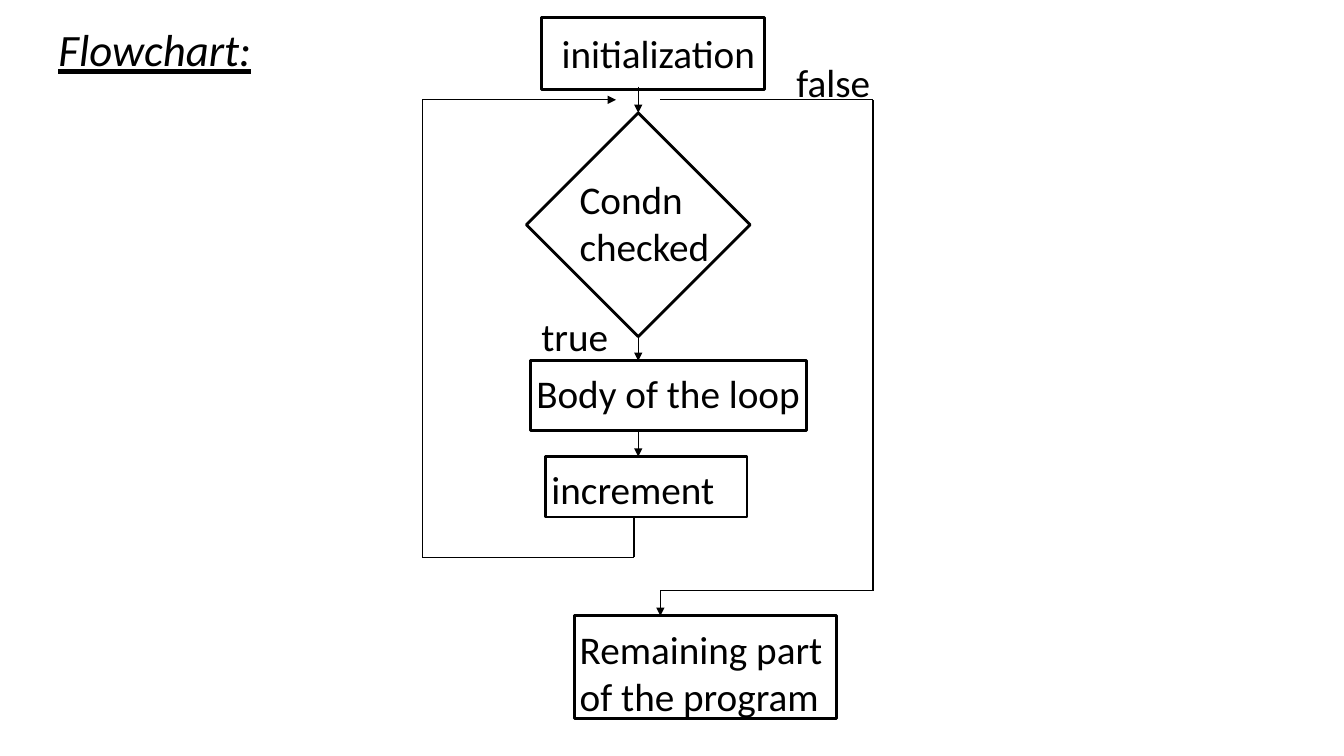
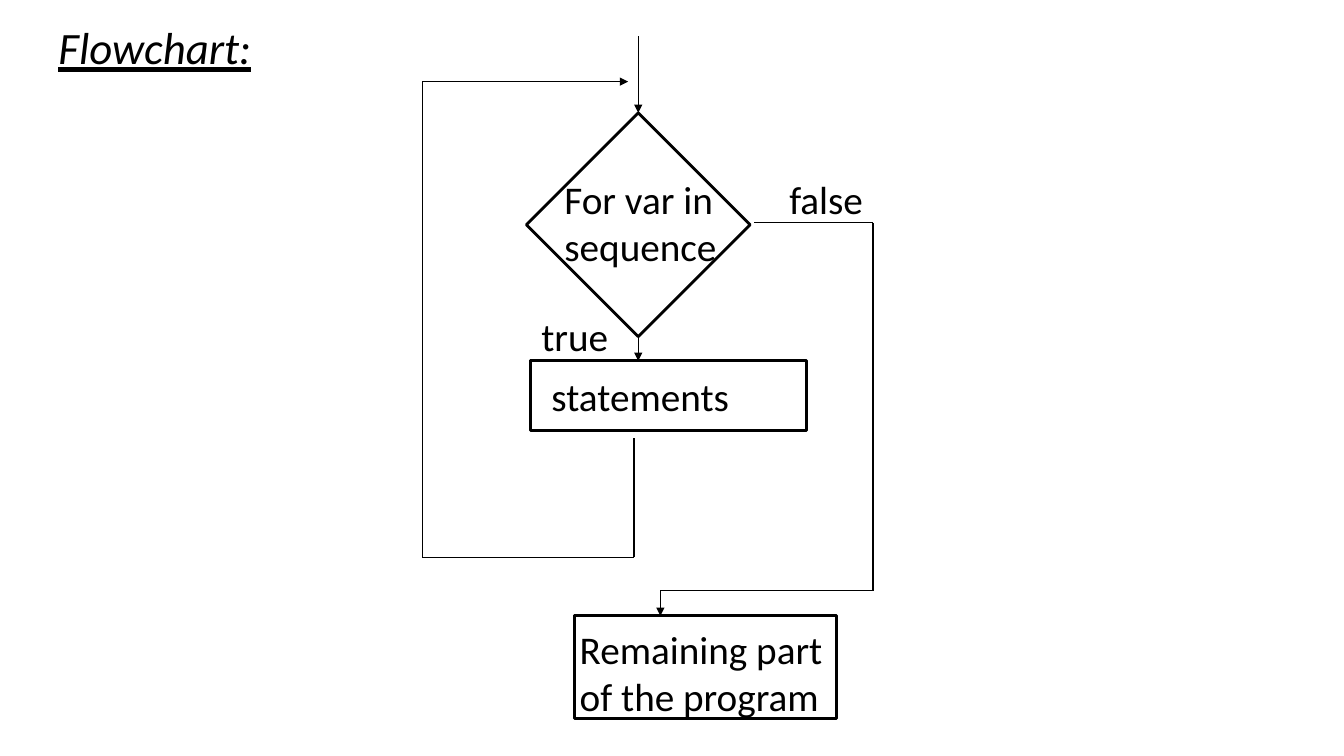
from dataclasses import dataclass

from pptx import Presentation
from pptx import util as u
from pptx.dml.color import RGBColor
from pptx.enum import shapes, text
from pptx.oxml.ns import qn
from lxml import etree


@dataclass(frozen=True)
class Theme:
    ink: RGBColor = RGBColor(0, 0, 0)
    font: str = "Calibri"
    title_size: int = 32
    label_size: int = 28
    box_line: float = 2
    flow_line: float = 1


THEME = Theme()
SLIDE_W, SLIDE_H = 13.33, 7.5
COLS, ROWS = 45, 75
REGION = (4.19, 0, 4.5, 7.5)  # left, top, width, height in inches

# Columns of the chart grid that carry the flow
LOOP, FEED, SPINE, EXIT, BYPASS = 0, 21, 21.4, 23.6, 44.7
# Rows shared by both charts
TEST_TOP, BODY_TOP, LOOP_LOW, BYPASS_LOW, REST_TOP = 11.2, 35.8, 55.3, 58.6, 61.1


def write(tf, words, size, left=0.1, top=0.05, right=0.1):
    """Fill a text frame with one left-aligned paragraph."""
    tf.word_wrap = True
    tf.auto_size = text.MSO_AUTO_SIZE.NONE
    tf.vertical_anchor = text.MSO_ANCHOR.TOP
    tf.margin_left, tf.margin_top = u.Inches(left), u.Inches(top)
    tf.margin_right, tf.margin_bottom = u.Inches(right), 0
    p = tf.paragraphs[0]
    p.text = words
    p.alignment = text.PP_ALIGN.LEFT
    p.font.name = THEME.font
    p.font.size = u.Pt(size)
    p.font.color.rgb = THEME.ink
    return p


def add_title(slide, words, top):
    title = slide.shapes.title
    title.left, title.top = u.Inches(0.48), u.Inches(top)
    title.width, title.height = u.Inches(4.24), u.Inches(0.64)
    p = write(title.text_frame, words, THEME.title_size)
    p.font.italic = p.font.underline = True


class Chart:
    """Draws flowchart parts on the grid of a region."""

    def __init__(self, slide, region):
        self.shapes = slide.shapes
        self.left, self.top, width, height = region
        self.col, self.row = width / COLS, height / ROWS

    def point(self, x, y):
        return (u.Inches(self.left + x * self.col),
                u.Inches(self.top + y * self.row))

    def area(self, x, y, w, h):
        return (*self.point(x, y), u.Inches(w * self.col), u.Inches(h * self.row))

    def outline(self, kind, area):
        sp = self.shapes.add_shape(kind, *self.area(*area))
        sp.shadow.inherit = False
        sp.fill.background()
        sp.line.color.rgb = THEME.ink
        sp.line.width = u.Pt(THEME.box_line)
        return sp

    def step(self, words, area, left=0.06, top=0.08):
        sp = self.outline(shapes.MSO_SHAPE.RECTANGLE, area)
        write(sp.text_frame, words, THEME.label_size, left, top, right=0)

    def label(self, words, area):
        box = self.shapes.add_textbox(*self.area(*area))
        write(box.text_frame, words, THEME.label_size)

    def route(self, *points, arrow=False):
        """Join the points with straight lines; return the last line."""
        for start, end in zip(points, points[1:]):
            line = self.shapes.add_connector(
                shapes.MSO_CONNECTOR.STRAIGHT, *self.point(*start), *self.point(*end))
            line.line.color.rgb = THEME.ink
            line.line.width = u.Pt(THEME.flow_line)
            etree.SubElement(line._element.spPr, qn("a:effectLst"))
        if arrow:
            etree.SubElement(line.line._get_or_add_ln(), qn("a:tailEnd"), type="triangle")
        return line

    def test(self, words, label_area, entry_row):
        """Condition with its entry arrow and its true branch."""
        diamond = self.outline(shapes.MSO_SHAPE.DIAMOND, (10.3, TEST_TOP, 22.2, 22.2))
        self.label(words, label_area)
        entry = self.route((SPINE, entry_row), (SPINE, TEST_TOP), arrow=True)
        entry.end_connect(diamond, 0)
        branch = self.route((SPINE, 33.4), (SPINE, BODY_TOP), arrow=True)
        branch.begin_connect(diamond, 2)
        self.label("true", (10.8, 30.5, 9.2, 5.7))

    def loop_back(self, start_row, back_row, tip):
        self.route((FEED, start_row), (FEED, LOOP_LOW), (LOOP, LOOP_LOW),
                   (LOOP, back_row), (tip, back_row), arrow=True)

    def leave(self, start, label_area):
        """False branch around the loop to the rest of the program."""
        self.route(start, (BYPASS, start[1]), (BYPASS, BYPASS_LOW),
                   (EXIT, BYPASS_LOW), (EXIT, REST_TOP), arrow=True)
        self.label("false", label_area)
        self.step("Remaining part of the program", (15.1, REST_TOP, 26, 10.2), 0.05, 0.09)

    def body(self, words, left, top):
        self.step(words, (10.7, BODY_TOP, 27.4, 6.9), left, top)


def general_loop(slide, region):
    chart = Chart(slide, region)
    chart.step("initialization", (11.8, 1.7, 22.1, 7.2), 0.2, 0.12)
    chart.test("Condn checked", (14.6, 16.9, 16.5, 10.4), 8.6)
    chart.body("Body of the loop", 0.06, 0.08)
    chart.route((SPINE, 42.8), (SPINE, 45.3), arrow=True)
    chart.step("increment", (12.2, 45.3, 20, 6), 0.06, 0.09)
    chart.loop_back(51.3, 9.9, 19.2)
    chart.leave((EXIT, 9.9), (36.1, 5.3, 10.8, 5.7))


def for_loop(slide, region):
    chart = Chart(slide, region)
    chart.test("For var in sequence", (13.1, 16.9, 18.4, 10.4), 3.6)
    chart.body("statements", 0.21, 0.11)
    chart.loop_back(43.5, 8.1, 20.4)
    chart.leave((32.9, 22.1), (35.4, 16.9, 10.6, 5.7))


def main():
    prs = Presentation()
    prs.slide_width, prs.slide_height = u.Inches(SLIDE_W), u.Inches(SLIDE_H)
    for draw, title_top in ((general_loop, 0.17), (for_loop, 0.15)):
        slide = prs.slides.add_slide(prs.slide_layouts[5])
        add_title(slide, "Flowchart:", title_top)
        draw(slide, REGION)
    prs.save("out.pptx")


if __name__ == "__main__":
    main()
